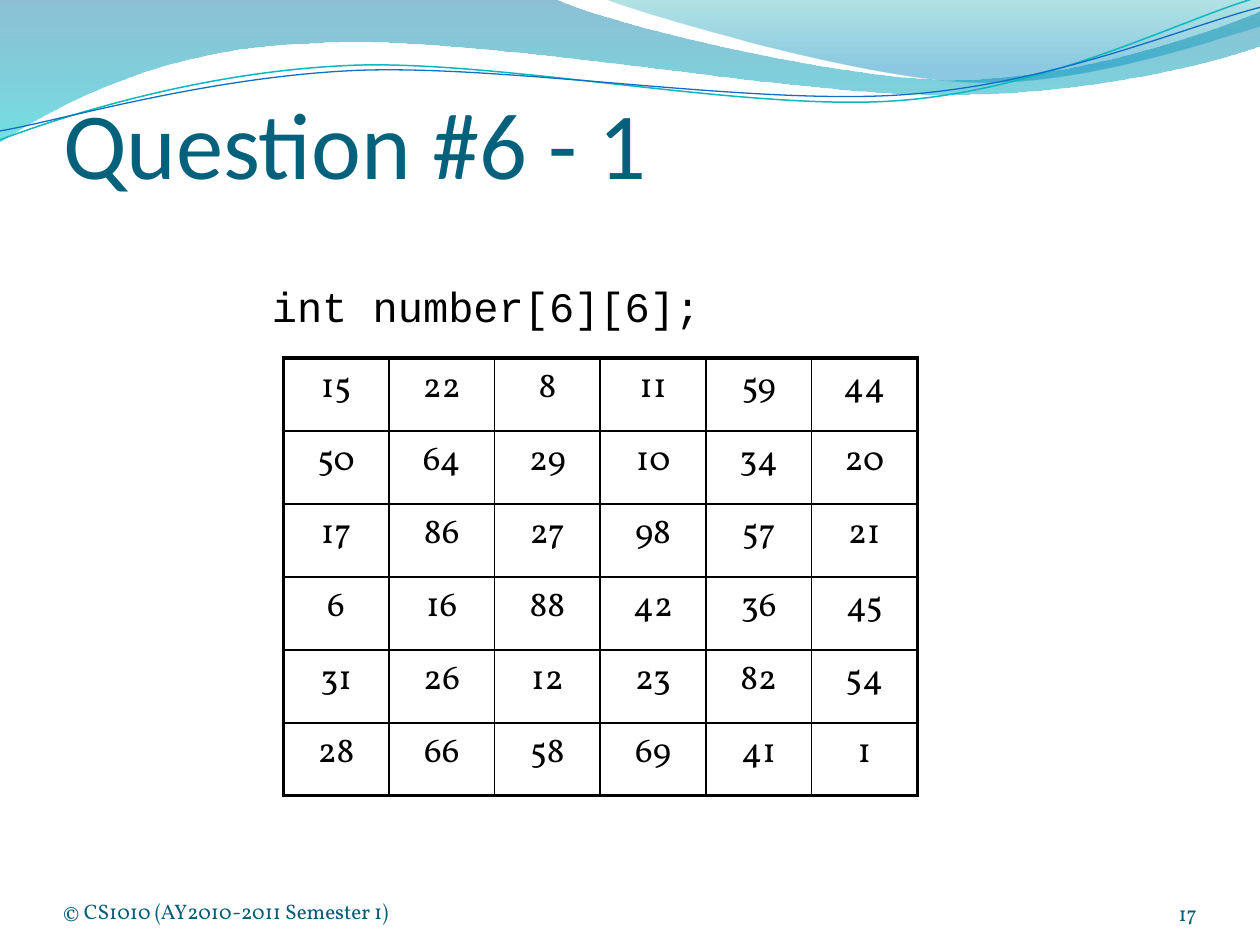
from lxml import etree
from pptx import Presentation
from pptx.dml.color import RGBColor
from pptx.enum.shapes import MSO_SHAPE
from pptx.enum.text import MSO_ANCHOR, MSO_AUTO_SIZE, PP_ALIGN
from pptx.oxml.ns import qn
from pptx.util import Cm, Pt

RECTANGLE = MSO_SHAPE.RECTANGLE
TOP, BOTTOM = MSO_ANCHOR.TOP, MSO_ANCHOR.BOTTOM
LEFT, CENTER, RIGHT, JUSTIFY = PP_ALIGN.LEFT, PP_ALIGN.CENTER, PP_ALIGN.RIGHT, PP_ALIGN.JUSTIFY
NO_AUTOFIT = MSO_AUTO_SIZE.NONE

COLORS = {
    "title": "04617B", "footer": "045C75", "ink": "000000", "paper": "FFFFFF",
    "deep": "0074A1", "aqua": "00C6CF", "teal": "00A1A9", "sky": "008BBF",
    "teal_line": "0AB8BF", "blue_line": "0F6FC6",
}
BODY_FONT = "Vollkorn"

NUMBERS = [
    [15, 22, 8, 11, 59, 44],
    [50, 64, 29, 10, 34, 20],
    [17, 86, 27, 98, 57, 21],
    [6, 16, 88, 42, 36, 45],
    [31, 26, 12, 23, 82, 54],
    [28, 66, 58, 69, 41, 1],
]

WIDE_WAVE = [
    [(0, 0)], [(11.18, -0.03)],
    [(12.09, 0.43), (16.87, 1.6), (19.25, 1.6)],
    [(21.67, 1.6), (24.33, 0.66), (25.4, 0.23)],
    [(25.43, 0.91)],
    [(24.97, 1.12), (22.1, 1.93), (18.95, 1.91)],
    [(15.8, 1.91), (9.7, 0.71), (6.53, 0.86)],
    [(3.28, 0.91), (1.17, 2.11), (-0.03, 2.87)],
    [(0, 0)],
]
RIGHT_WAVE = [
    [(12.17, -0.03)],
    [(12.93, 0.28), (17.32, 1.57), (19.53, 1.65)],
    [(21.74, 1.75), (24.41, 0.81), (25.4, 0.53)],
    [(25.4, 0)],
    [(12.17, -0.03)],
]
TEAL_STROKE = [
    [(0, 2.82)],
    [(1.22, 2.36), (4.01, 1.45), (7.04, 1.32)],
    [(10.03, 1.19), (15.06, 2.26), (18.11, 2.03)],
    [(21.16, 1.8), (23.83, 0.38), (25.35, -0.05)],
]
BLUE_STROKE = [
    [(0, 2.64)],
    [(1.19, 2.44), (4.17, 1.55), (7.19, 1.42)],
    [(10.24, 1.3), (15.16, 2.13), (18.21, 1.91)],
    [(21.23, 1.7), (23.9, 0.53), (25.4, 0.15)],
]


def rgb(name):
    return RGBColor.from_string(COLORS[name])


def bend(outline, segments):
    edges = list(outline.element.spPr.iter(qn("a:lnTo")))
    for edge, segment in zip(edges, segments[1:]):
        if len(segment) == 3:
            curve = etree.Element(qn("a:cubicBezTo"))
            for x, y in segment:
                etree.SubElement(curve, qn("a:pt"), x=str(Cm(x) - outline.left),
                                 y=str(Cm(y) - outline.top))
            edge.getparent().replace(edge, curve)


def add_outline(slide, segments, closed):
    start, *rest = [(Cm(x), Cm(y)) for x, y in (segment[-1] for segment in segments)]
    builder = slide.shapes.build_freeform(*start)
    builder.add_line_segments(rest, close=closed)
    outline = builder.convert_to_shape()
    bend(outline, segments)
    outline.shadow.inherit = False
    return outline


def add_wave(slide, segments, stops):
    wave = add_outline(slide, segments, True)
    wave.line.fill.background()
    wave.fill.gradient()
    wave.fill.gradient_angle = 270
    for stop, (position, color, _) in zip(wave.fill.gradient_stops, stops):
        stop.position = position
        stop.color.rgb = rgb(color)
    gradient_colors = wave.element.spPr.iter(qn("a:srgbClr"))
    for tint, (_, _, opacity) in zip(gradient_colors, stops):
        etree.SubElement(tint, qn("a:alpha"), val=str(opacity * 1000))


def add_stroke(slide, segments, color, width):
    stroke = add_outline(slide, segments, False)
    stroke.fill.background()
    stroke.line.color.rgb = rgb(color)
    stroke.line.width = Pt(width)


def write(frame, text, size, font, color, align=LEFT, before=0):
    frame.text = text
    paragraph = frame.paragraphs[0]
    paragraph.alignment = align
    paragraph.space_before = Pt(before)
    run_font = paragraph.runs[0].font
    run_font.size = Pt(size)
    run_font.name = font
    run_font.color.rgb = rgb(color)
    return paragraph


def set_frame(frame, anchor, top_margin=0):
    frame.word_wrap = True
    frame.auto_size = NO_AUTOFIT
    frame.vertical_anchor = anchor
    frame.margin_left = frame.margin_right = frame.margin_bottom = 0
    frame.margin_top = Cm(top_margin)


def place_title(slide, text):
    title = slide.shapes.title
    title.left, title.top, title.width, title.height = Cm(1.27), Cm(1.47), Cm(22.86), Cm(2.54)
    set_frame(title.text_frame, BOTTOM, 0.13)
    write(title.text_frame, text, 54, "Calibri", "title")
    slide.shapes.element.append(title.element)


def add_footer(slide, text, left, top, width, height, align):
    footer = slide.shapes.add_textbox(Cm(left), Cm(top), Cm(width), Cm(height))
    set_frame(footer.text_frame, BOTTOM)
    write(footer.text_frame, text, 12, BODY_FONT, "footer", align)


def add_declaration(slide, code):
    declaration = slide.shapes.add_shape(RECTANGLE, Cm(4.7), Cm(5.54), Cm(12.83), Cm(1.07))
    declaration.shadow.inherit = False
    declaration.fill.solid()
    declaration.fill.fore_color.rgb = rgb("paper")
    declaration.line.fill.background()
    declaration.text_frame.word_wrap = True
    declaration.text_frame.vertical_anchor = TOP
    paragraph = write(declaration.text_frame, code, 24, "Courier New", "ink", JUSTIFY, 5)
    properties = paragraph._p.get_or_add_pPr()
    properties.set("marL", str(Cm(1.8)))
    properties.set("indent", str(Cm(-1.27)))


def set_borders(cell, widths):
    properties = cell._tc.get_or_add_tcPr()
    for index, (side, width) in enumerate(widths.items()):
        border = etree.Element(qn(f"a:ln{side}"), w=str(Pt(width)))
        fill = etree.SubElement(border, qn("a:solidFill"))
        etree.SubElement(fill, qn("a:srgbClr"), val=COLORS["ink"])
        properties.insert(index, border)


def add_number_grid(slide, numbers):
    last_row, last_column = len(numbers) - 1, len(numbers[0]) - 1
    grid = slide.shapes.add_table(last_row + 1, last_column + 1,
                                  Cm(5.71), Cm(7.22), Cm(12.78), Cm(8.82)).table
    grid.first_row = grid.horz_banding = False
    for column in grid.columns:
        column.width = Cm(2.13)
    for row in grid.rows:
        row.height = Cm(1.47)
    for r, values in enumerate(numbers):
        for c, value in enumerate(values):
            cell = grid.cell(r, c)
            cell.fill.background()
            cell.vertical_anchor = TOP
            write(cell.text_frame, str(value), 20, BODY_FONT, "ink", CENTER, 4)
            outer = {"L": c == 0, "R": c == last_column, "T": r == 0, "B": r == last_row}
            set_borders(cell, {side: 2.25 if edge else 1 for side, edge in outer.items()})


def main():
    deck = Presentation()
    deck.slide_width, deck.slide_height = Cm(25.4), Cm(19.05)
    slide = deck.slides.add_slide(deck.slide_layouts[5])
    add_wave(slide, WIDE_WAVE, [(0, "deep", 45), (1, "aqua", 55)])
    add_wave(slide, RIGHT_WAVE, [(0, "teal", 30), (0.8, "sky", 45)])
    add_stroke(slide, TEAL_STROKE, "teal_line", 0.85)
    add_stroke(slide, BLUE_STROKE, "blue_line", 0.75)
    place_title(slide, "Question #6 - 1")
    add_footer(slide, "17", 22.02, 17.65, 2.11, 1.02, RIGHT)
    add_footer(slide, "© CS1010 (AY2010-2011 Semester 1)", 1.27, 17.35, 8.46, 1.27, LEFT)
    add_declaration(slide, "int number[6][6];")
    add_number_grid(slide, NUMBERS)
    deck.save("out.pptx")


main()
